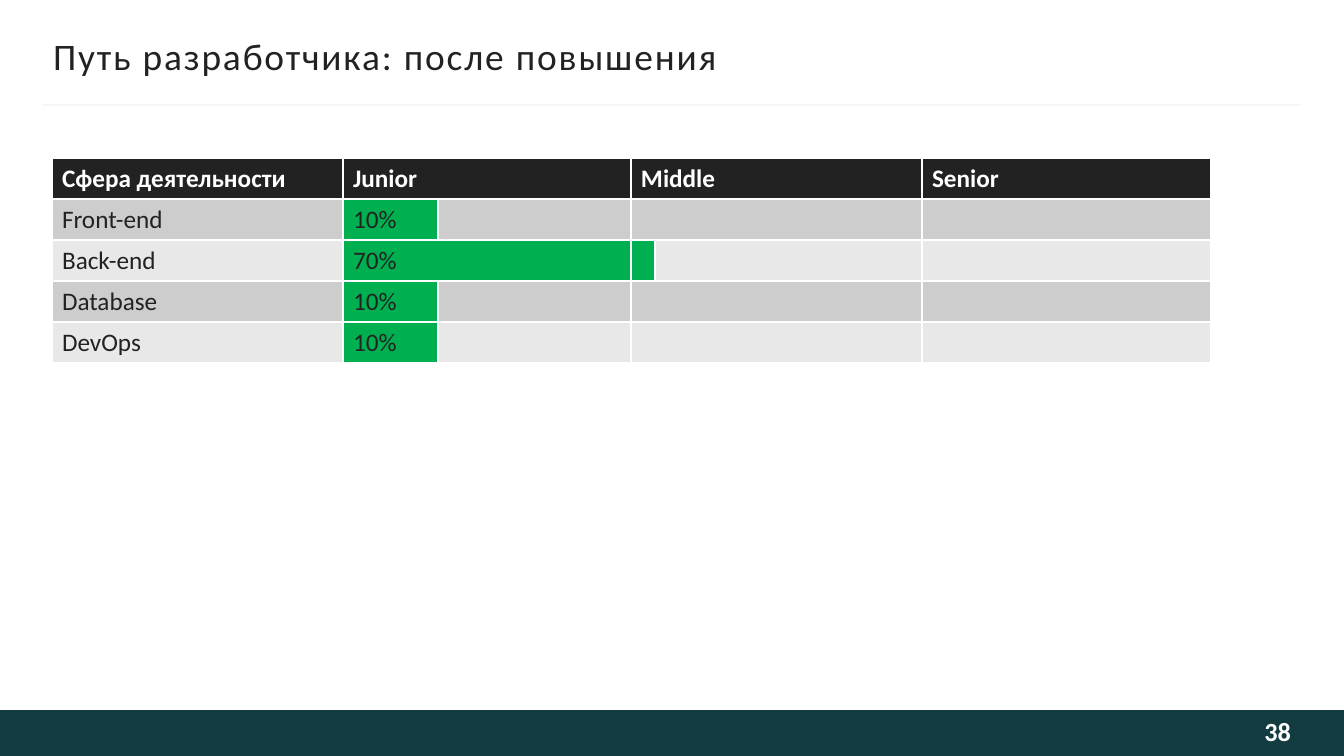
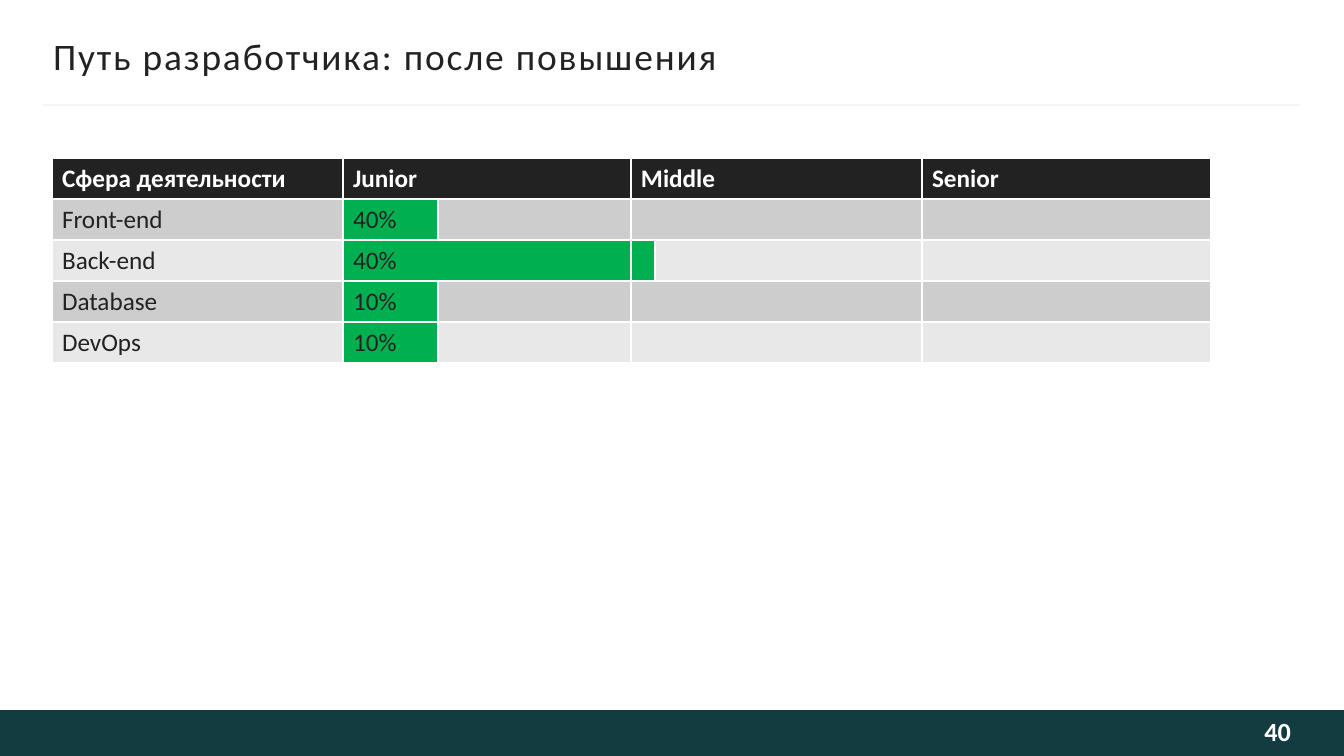
import pptx
import pptx.dml.color
import pptx.enum.shapes
import pptx.enum.text
import pptx.util
from lxml import etree

PX = 914400 / 100.8
WIDTH, HEIGHT = 1344, 756
FONT = "Calibri"
COLORS = {
    "band": "133C41",
    "rule": "F5F5F5",
    "text": "222222",
    "header": "222222",
    "header_text": "FFFFFF",
    "number": "FEFEFE",
    "odd_row": "CDCDCD",
    "even_row": "E8E8E8",
    "bar": "00B050",
}
TITLE = "Путь разработчика: после повышения"
HEADER = {0: "Сфера деятельности", 1: "Junior", 3: "Middle", 5: "Senior"}
AREAS = ["Front-end", "Back-end", "Database", "DevOps"]
BAR_COLUMNS = [1, 3, 1, 1]
COL_WIDTHS = [291, 95, 193, 24, 267, 289]
ROW_HEIGHT = 41
SLIDES = [
    (38, ["10%", "70%", "10%", "10%"]),
    (40, ["40%", "40%", "10%", "10%"]),
]


def px(n):
    return pptx.util.Emu(round(n * PX))


def rgb(name):
    return pptx.dml.color.RGBColor.from_string(COLORS[name])


def style(p, size, color, bold=False):
    p.font.name = FONT
    p.font.size = pptx.util.Pt(size)
    p.font.bold = bold
    p.font.color.rgb = rgb(color)


def add_text(slide, box, text, size, color, bold=False, insets=(0, 5, 0, 5)):
    tf = slide.shapes.add_textbox(*map(px, box)).text_frame
    tf.word_wrap = True
    tf.vertical_anchor = pptx.enum.text.MSO_ANCHOR.MIDDLE
    tf.margin_left, tf.margin_top, tf.margin_right, tf.margin_bottom = map(px, insets)
    p = tf.paragraphs[0]
    p.text = text
    style(p, size, color, bold)
    return p


def add_heading(slide, box):
    x, y, w, h = box
    ln = slide.shapes.add_connector(
        pptx.enum.shapes.MSO_CONNECTOR.STRAIGHT, px(x), px(y + h), px(x + w), px(y + h))
    ln.line.color.rgb = rgb("rule")
    ln.line.width = pptx.util.Pt(1.5)
    etree.SubElement(ln._element.spPr, pptx.oxml.ns.qn("a:effectLst"))
    p = add_text(slide, (x + 10, y + 33, w - 18, 44), TITLE, 26.7, "text")
    p.runs[0].font._element.set("spc", "130")


def add_footer(slide, box, number):
    x, y, w, h = box
    sp = slide.shapes.add_shape(pptx.enum.shapes.MSO_SHAPE.RECTANGLE, *map(px, box))
    sp.shadow.inherit = False
    sp.fill.solid()
    sp.fill.fore_color.rgb = rgb("band")
    sp.line.fill.background()
    p = add_text(slide, (x + w - 254, y, 201, h), str(number), 18.7, "number",
                 bold=True, insets=(10, 5, 0, 9))
    p.alignment = pptx.enum.text.PP_ALIGN.RIGHT


def set_cell(cell, text, fill, color, bold=False):
    cell.fill.solid()
    cell.fill.fore_color.rgb = rgb(fill)
    p = cell.text_frame.paragraphs[0]
    p.text = text
    style(p, 18, color, bold)


def add_progress_table(slide, x, y, shares):
    rows = len(AREAS) + 1
    table = slide.shapes.add_table(
        rows, len(COL_WIDTHS), px(x), px(y), px(sum(COL_WIDTHS)), px(rows * ROW_HEIGHT)).table
    for col, width in zip(table.columns, COL_WIDTHS):
        col.width = px(width)
    for row in table.rows:
        row.height = px(ROW_HEIGHT)
    for c in range(len(COL_WIDTHS)):
        set_cell(table.cell(0, c), HEADER.get(c, ""), "header", "header_text", bold=True)
    for c in (1, 3):
        table.cell(0, c).merge(table.cell(0, c + 1))
    for r, (area, share, bar) in enumerate(zip(AREAS, shares, BAR_COLUMNS), 1):
        texts = {0: area, 1: share}
        band = "odd_row" if r % 2 else "even_row"
        for c in range(len(COL_WIDTHS)):
            fill = "bar" if 1 <= c <= bar else band
            set_cell(table.cell(r, c), texts.get(c, ""), fill, "text")
        c = 1 if bar > 1 else 3
        table.cell(r, c).merge(table.cell(r, c + 1))


def add_progress_slide(prs, number, shares):
    slide = prs.slides.add_slide(prs.slide_layouts[6])
    add_footer(slide, (0, 710, WIDTH, 46), number)
    add_heading(slide, (43, 0, 1257, 105))
    add_progress_table(slide, 52, 158, shares)


def main():
    prs = pptx.Presentation()
    prs.slide_width, prs.slide_height = px(WIDTH), px(HEIGHT)
    for number, shares in SLIDES:
        add_progress_slide(prs, number, shares)
    prs.save("out.pptx")


if __name__ == "__main__":
    main()
